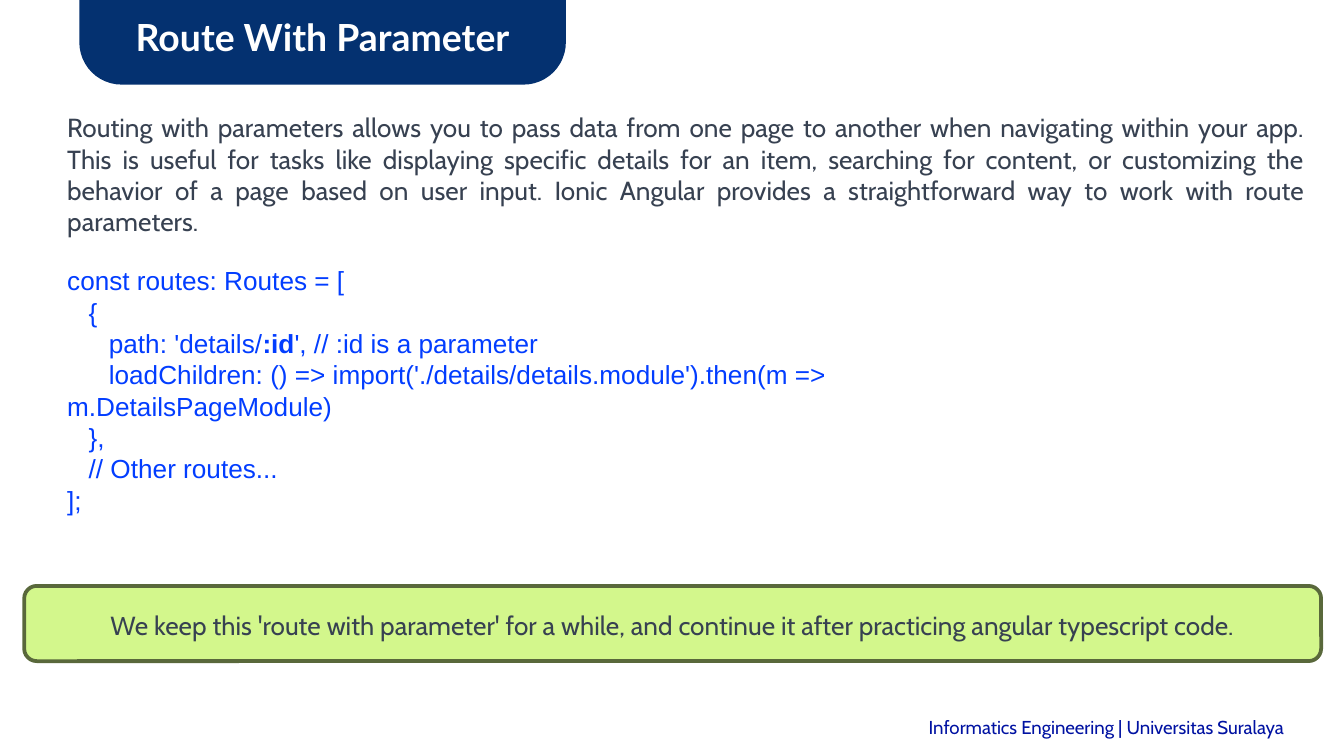
from dataclasses import dataclass

from pptx import Presentation
from pptx.dml.color import RGBColor
from pptx.enum.shapes import MSO_SHAPE
from pptx.enum.text import MSO_ANCHOR, MSO_AUTO_SIZE, PP_ALIGN
from pptx.util import Pt

PX = 9144
SLIDE_WIDTH = 1000
TITLE_ONLY = 5
TAB_SHAPE = MSO_SHAPE.ROUND_2_SAME_RECTANGLE
ROUNDED = MSO_SHAPE.ROUNDED_RECTANGLE
TOP, MIDDLE = MSO_ANCHOR.TOP, MSO_ANCHOR.MIDDLE
LEFT, CENTER, RIGHT = PP_ALIGN.LEFT, PP_ALIGN.CENTER, PP_ALIGN.RIGHT
JUSTIFY = PP_ALIGN.JUSTIFY
FIT_SHAPE, NO_FIT = MSO_AUTO_SIZE.SHAPE_TO_FIT_TEXT, MSO_AUTO_SIZE.NONE


@dataclass(frozen=True)
class Style:
    font: str
    size: int
    color: str
    bold: bool = False


@dataclass(frozen=True)
class Theme:
    tab: str = "043170"
    note_fill: str = "D3F78C"
    note_line: str = "59683B"
    note_line_width: int = 2
    title: Style = Style("Lato", 20, "FFFFFF", True)
    body: Style = Style("Cabin", 14, "374151")
    code: Style = Style("Arial", 14, "023DFF")
    code_bold: Style = Style("Arial", 14, "023DFF", True)
    footer: Style = Style("Cabin", 10, "0012A2")


THEME = Theme()

TAB_BOX = (59, 0, 362, 63)
BODY_BOX = (49, 82, 922, 305)
NOTE_BOX = (18, 436, 965, 56)
NOTE_TEXT_BOX = (39, 452, 922, 24)
FOOTER_BOX = (635, 528, 330, 24)
PADDED = (10, 10, 10, 10)
TITLE_INSETS = (10, 10, 10, 19)
TIGHT = (0, 1, 0, 0)
BASE_INDENT = 1
CODE_INDENTS = (BASE_INDENT, 17, 32)
CODE_RIGHT_MARGIN = 250

INTRO = (
    "Routing with parameters allows you to pass data from one page to another "
    "when navigating within your app. This is useful for tasks like displaying "
    "specific details for an item, searching for content, or customizing the "
    "behavior of a page based on user input. Ionic Angular provides a "
    "straightforward way to work with route parameters."
)
LOAD_LINE = "loadChildren: () => import('./details/details.module').then(m => m.DetailsPageModule)"
CODE_LINES = [
    (0, [("const routes: Routes = [", THEME.code)]),
    (1, [("{", THEME.code)]),
    (2, [
        ("path: 'details/", THEME.code),
        (":id", THEME.code_bold),
        ("', // :id is a parameter", THEME.code),
    ]),
    (2, [(LOAD_LINE, THEME.code)]),
    (1, [("},", THEME.code)]),
    (1, [("// Other routes...", THEME.code)]),
    (0, [("];", THEME.code)]),
]
NOTE = (
    "We keep this 'route with parameter' for a while, and continue it "
    "after practicing angular typescript code."
)


def scaled(box):
    return [value * PX for value in box]


def rgb(color):
    return RGBColor.from_string(color)


def set_frame(frame, insets, anchor, auto_size):
    frame.margin_left, frame.margin_top, frame.margin_right, frame.margin_bottom = scaled(insets)
    frame.word_wrap = True
    frame.vertical_anchor = anchor
    frame.auto_size = auto_size


def add_runs(paragraph, runs):
    for text, style in runs:
        run = paragraph.add_run()
        run.text = text
        run.font.name = style.font
        run.font.size = Pt(style.size)
        run.font.bold = style.bold
        run.font.color.rgb = rgb(style.color)


def format_paragraph(paragraph, align, left=0, first=0, right=0, before=0, spacing=1.0):
    paragraph.alignment = align
    paragraph.line_spacing = spacing
    paragraph.space_before = Pt(before)
    properties = paragraph._p.get_or_add_pPr()
    for name, value in (("marL", left), ("marR", right), ("indent", first)):
        properties.set(name, str(value * PX))


def add_panel(slide, kind, box, adjustments, fill, line=None):
    shape = slide.shapes.add_shape(kind, *scaled(box))
    shape.shadow.inherit = False
    for index, value in enumerate(adjustments):
        shape.adjustments[index] = value
    shape.fill.solid()
    shape.fill.fore_color.rgb = rgb(fill)
    if line:
        shape.line.color.rgb = rgb(line)
        shape.line.width = Pt(THEME.note_line_width)
    else:
        shape.line.fill.background()


def add_text_box(slide, box, insets, anchor, auto_size):
    frame = slide.shapes.add_textbox(*scaled(box)).text_frame
    set_frame(frame, insets, anchor, auto_size)
    return frame


def add_title(slide, text):
    add_panel(slide, TAB_SHAPE, TAB_BOX, (0, 0.5), THEME.tab)
    title = slide.shapes.title
    title.element.getparent().append(title.element)
    title.left, title.top, title.width, title.height = scaled(TAB_BOX)
    set_frame(title.text_frame, TITLE_INSETS, MIDDLE, NO_FIT)
    paragraph = title.text_frame.paragraphs[0]
    format_paragraph(paragraph, CENTER)
    add_runs(paragraph, [(text, THEME.title)])


def add_body(slide):
    frame = add_text_box(slide, BODY_BOX, TIGHT, TOP, FIT_SHAPE)
    intro = frame.paragraphs[0]
    format_paragraph(intro, JUSTIFY, BASE_INDENT)
    add_runs(intro, [(INTRO, THEME.body)])
    for index, (level, runs) in enumerate(CODE_LINES):
        paragraph = frame.add_paragraph()
        left, first, right = CODE_INDENTS[level], 0, 0
        if runs[0][0] == LOAD_LINE:
            left, first, right = BASE_INDENT, left - BASE_INDENT, CODE_RIGHT_MARGIN
        before = 14.7 if index == 0 else 0
        format_paragraph(paragraph, LEFT, left, first, right, before)
        add_runs(paragraph, runs)


def add_note(slide):
    add_panel(slide, ROUNDED, NOTE_BOX, (0.167,), THEME.note_fill, THEME.note_line)
    frame = add_text_box(slide, NOTE_TEXT_BOX, TIGHT, TOP, FIT_SHAPE)
    paragraph = frame.paragraphs[0]
    format_paragraph(paragraph, CENTER, BASE_INDENT, spacing=1.01)
    add_runs(paragraph, [(NOTE, THEME.body)])


def add_footer(slide, text):
    frame = add_text_box(slide, FOOTER_BOX, PADDED, MIDDLE, NO_FIT)
    paragraph = frame.paragraphs[0]
    format_paragraph(paragraph, RIGHT, spacing=1.15)
    add_runs(paragraph, [(text, THEME.footer)])


def main():
    presentation = Presentation()
    presentation.slide_width = SLIDE_WIDTH * PX
    presentation.slide_height = presentation.slide_width * 9 // 16
    slide = presentation.slides.add_slide(presentation.slide_layouts[TITLE_ONLY])
    add_footer(slide, "Informatics Engineering | Universitas Suralaya")
    add_title(slide, "Route With Parameter")
    add_body(slide)
    add_note(slide)
    presentation.save("out.pptx")


if __name__ == "__main__":
    main()
